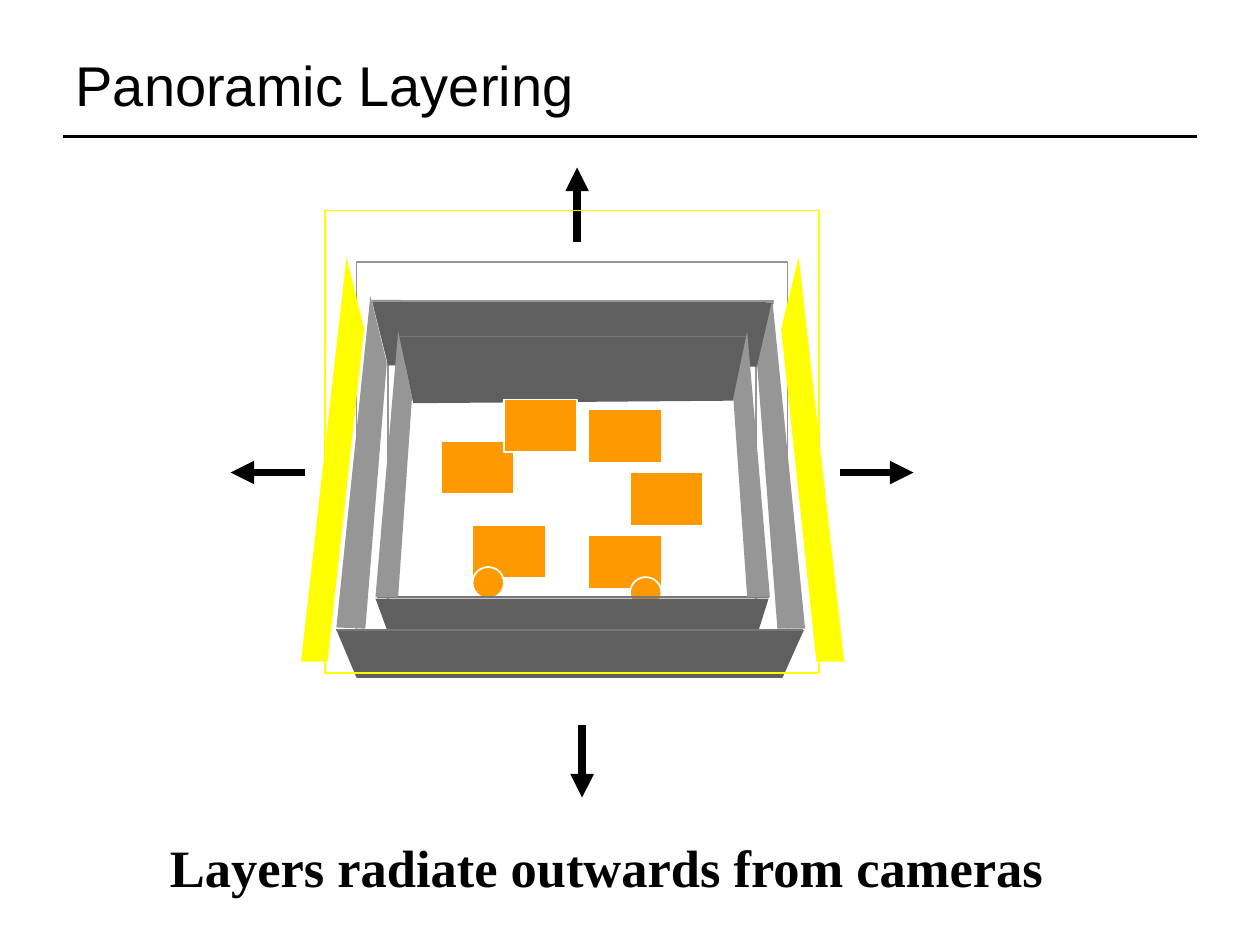
from pptx import Presentation
from pptx import util as u
from pptx.dml.color import RGBColor
from pptx.enum import shapes, text
from pptx.oxml.ns import qn
from lxml import etree

BLACK, DARK, GREY, EDGE = "000000", "5F5F5F", "969696", "777777"
GOLD, AMBER, WHITE = "FFFF00", "FF9900", "FFFFFF"
RECT, OVAL = shapes.MSO_SHAPE.RECTANGLE, shapes.MSO_SHAPE.OVAL
hue = RGBColor.from_string

deck = Presentation()
deck.slide_width, deck.slide_height = u.Inches(10), u.Inches(7.5)
slide = deck.slides.add_slide(deck.slide_layouts[5])
items = slide.shapes


def put(kind, spot, fill=None, edge=None):
    """Add a preset shape at (x, y, w, h), or a polygon from points if kind is None."""
    if kind is None:
        dots = [(u.Inches(x), u.Inches(y)) for x, y in spot]
        pen = items.build_freeform(*dots[0])
        pen.add_line_segments(dots[1:], close=True)
        item = pen.convert_to_shape()
    else:
        item = items.add_shape(kind, *[u.Inches(v) for v in spot])
    item.shadow.inherit = False
    for part, code in ((item.fill, fill), (item.line.fill, edge)):
        if code:
            part.solid()
            part.fore_color.rgb = hue(code)
        else:
            part.background()
    if edge:
        item.line.width = u.Pt(1)


def rule(ends, code, width, arrow=False):
    """Add a straight line through (x1, y1, x2, y2)."""
    item = items.add_connector(shapes.MSO_CONNECTOR.STRAIGHT,
                               *[u.Inches(v) for v in ends])
    item.line.color.rgb = hue(code)
    item.line.width = u.Pt(width)
    if arrow:
        etree.SubElement(item.line._get_or_add_ln(), qn("a:tailEnd"), type="triangle")
    etree.SubElement(item._element.spPr, qn("a:effectLst"))


# Title and the line under it
title = items.title
title.left, title.top = u.Inches(0.5), u.Inches(0.17)
title.width, title.height = u.Inches(9), u.Inches(1)
title.text_frame.text = "Panoramic Layering"
rule((0.5, 1.08, 9.5, 1.08), BLACK, 1.75)

# Caption
note = items.add_textbox(u.Inches(1.25), u.Inches(6.58), u.Inches(7.14), u.Inches(0.6))
note.text_frame.text = "Layers radiate outwards from cameras"
note.text_frame.word_wrap = False
note.text_frame.auto_size = text.MSO_AUTO_SIZE.SHAPE_TO_FIT_TEXT

for box, face, size, bold in ((title, "Arial", 32, False),
                              (note, "Times New Roman", 30, True)):
    box.text_frame.vertical_anchor = text.MSO_ANCHOR.MIDDLE
    para = box.text_frame.paragraphs[0]
    para.alignment = text.PP_ALIGN.LEFT
    font = para.runs[0].font
    font.name, font.size, font.bold = face, u.Pt(size), bold
    font.color.rgb = hue(BLACK)

# Lower cameras, each with a round lens
for x, y, lens in ((3.75, 4.17, 3.75), (4.67, 4.25, 5)):
    put(RECT, (x, y, 0.58, 0.42), AMBER, WHITE)
    put(OVAL, (lens, y + 0.33, 0.25, 0.25), AMBER, WHITE)

# Outlines of the inner and middle layers
put(RECT, (3.08, 2.42, 2.92, 2.42), edge=GREY)
put(RECT, (2.83, 2.08, 3.42, 3), edge=GREY)

# Arrows pointing outwards
for ends in ((6.67, 3.75, 7.25, 3.75), (2.42, 3.75, 1.83, 3.75),
             (4.62, 5.75, 4.62, 6.33), (4.58, 1.92, 4.58, 1.33)):
    rule(ends, BLACK, 4.5, arrow=True)

# Front walls
put(None, ((3.12, 5.13), (2.98, 4.75), (6.1, 4.75), (5.98, 5.13)), DARK)
put(None, ((2.83, 5.38), (2.67, 5), (6.38, 5), (6.21, 5.38)), DARK)
rule((2.67, 5, 6.37, 5), EDGE, 1)
rule((2.99, 4.74, 6.1, 4.74), EDGE, 1)

# Outline of the outer layer
put(RECT, (2.58, 1.67, 3.92, 3.67), edge=GOLD)

# Back walls
put(None, ((3.08, 2.9), (2.95, 2.38), (6.14, 2.4), (6.01, 2.91)), DARK)
rule((2.95, 2.39, 6.14, 2.39), GREY, 1)
rule((3.17, 2.67, 5.93, 2.67), EDGE, 1)
put(None, ((3.28, 3.2), (3.17, 2.68), (5.94, 2.68), (5.82, 3.18)), DARK)

# Side walls, right and left of each layer
for code, walls in (
        (GREY, (((6.13, 2.38), (6.39, 4.99), (6.17, 4.99), (6.01, 2.9)),
                ((5.93, 2.63), (6.11, 4.74), (5.93, 4.74), (5.82, 3.16)),
                ((3.16, 2.63), (2.98, 4.74), (3.16, 4.74), (3.27, 3.15)),
                ((2.94, 2.35), (2.67, 4.98), (2.9, 4.99), (3.07, 2.88)))),
        (GOLD, (((6.34, 2.04), (6.7, 5.25), (6.48, 5.25), (6.2, 2.61)),
                ((2.75, 2.04), (2.39, 5.25), (2.6, 5.25), (2.89, 2.61))))):
    for wall in walls:
        put(None, wall, code)

# Upper cameras
for x, y in ((3.5, 3.5), (5, 3.75), (4, 3.17), (4.67, 3.25)):
    put(RECT, (x, y, 0.58, 0.42), AMBER, WHITE)

deck.save("out.pptx")
